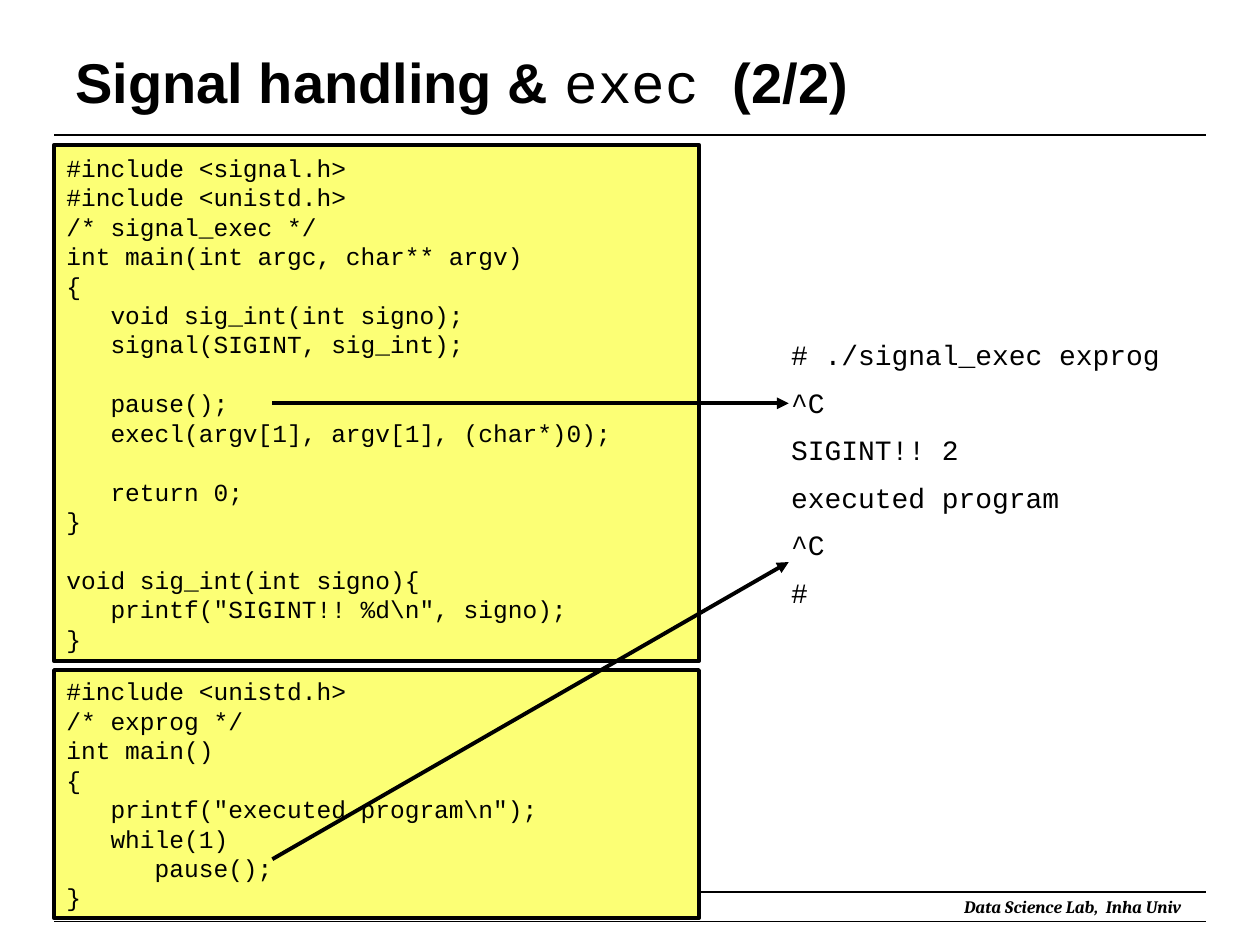
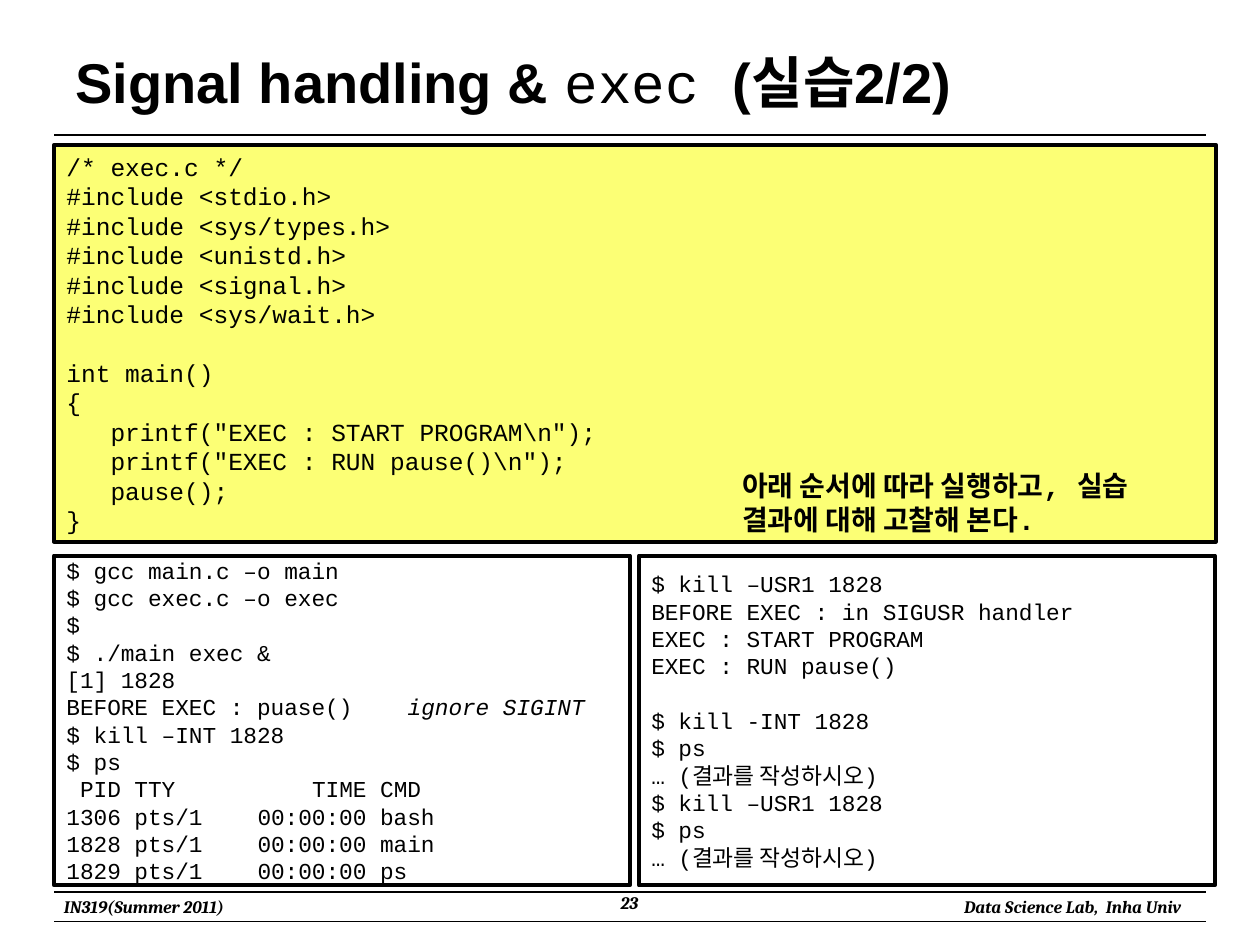
from dataclasses import dataclass
from typing import Optional

from lxml import etree
from pptx import Presentation
from pptx.dml.color import RGBColor
from pptx.enum.shapes import MSO_CONNECTOR, MSO_SHAPE
from pptx.enum.text import MSO_ANCHOR as Anchor, PP_ALIGN as Align
from pptx.oxml.ns import qn
from pptx.util import Cm, Pt

COLORS = {"ink": "000000", "code": "FCFF75"}
HEADING, MONO, FOOTER = "Arial", "Courier New", "Cambria"
LINE_HEIGHT = 1.2
MONO_WIDTH = 0.6
LEFT, RIGHT = 1.09, 24.31
CODE_TOP = 2.92


@dataclass(frozen=True)
class Area:
    left: float
    top: float
    width: float
    height: float

    def lengths(self):
        return Cm(self.left), Cm(self.top), Cm(self.width), Cm(self.height)


@dataclass(frozen=True)
class Style:
    size: float
    font: str = MONO
    bold: bool = False
    italic: bool = False


@dataclass(frozen=True)
class Line:
    """A line of text, with an optional second part set at a character column."""
    text: str
    second: str = ""
    column: int = 0
    italic_second: bool = False


@dataclass(frozen=True)
class Listing:
    area: Area
    size: float
    lines: list
    fill: Optional[str] = None


@dataclass(frozen=True)
class Arrow:
    x1: float
    y1: float
    x2: float
    y2: float


TITLE_AREA = Area(1.27, 0.76, 22.86, 1.75)
TITLE_STYLE = Style(32, HEADING, bold=True)
TITLE_CODE_STYLE = Style(32)
FOOTER_STYLE = Style(10, FOOTER, bold=True, italic=True)
OUTPUT_STYLE = Style(16)
HINT_STYLE = Style(16, bold=True)

SIGNAL_EXEC = Listing(Area(LEFT, CODE_TOP, 13, 10.41), 14, r'''#include <signal.h>
#include <unistd.h>
/* signal_exec */
int main(int argc, char** argv)
{
   void sig_int(int signo);
   signal(SIGINT, sig_int);

   pause();
   execl(argv[1], argv[1], (char*)0);

   return 0;
}

void sig_int(int signo){
   printf("SIGINT!! %d\n", signo);
}'''.split("\n"), "code")

EXPROG = Listing(Area(LEFT, 13.51, 13, 5), 14, r'''#include <unistd.h>
/* exprog */
int main()
{
   printf("executed program\n");
   while(1)
      pause();
}'''.split("\n"), "code")

EXEC_C = Listing(Area(LEFT, CODE_TOP, 23.42, 8), 14, r'''/* exec.c */
#include <stdio.h>
#include <sys/types.h>
#include <unistd.h>
#include <signal.h>
#include <sys/wait.h>

int main()
{
   printf("EXEC : START PROGRAM\n");
   printf("EXEC : RUN pause()\n");
   pause();
}'''.split("\n"), "code")

FIRST_SESSION = Listing(Area(LEFT, 11.2, 11.61, 6.65), 13, [
    "$ gcc main.c –o main",
    "$ gcc exec.c –o exec",
    "$",
    "$ ./main exec &",
    "[1] 1828",
    Line("BEFORE EXEC : puase()", "ignore SIGINT", 25, italic_second=True),
    "$ kill –INT 1828",
    "$ ps",
    Line(" PID TTY", "TIME CMD", 18),
    Line("1306 pts/1", "00:00:00 bash", 14),
    Line("1828 pts/1", "00:00:00 main", 14),
    Line("1829 pts/1", "00:00:00 ps", 14),
])

SECOND_SESSION = Listing(Area(12.88, 11.2, 11.61, 6.65), 13, [
    "$ kill –USR1 1828",
    "BEFORE EXEC : in SIGUSR handler",
    "EXEC : START PROGRAM",
    "EXEC : RUN pause()",
    "",
    "$ kill -INT 1828",
    "$ ps",
    "… (결과를 작성하시오)",
    "$ kill –USR1 1828",
    "$ ps",
    "… (결과를 작성하시오)",
])

OUTPUT = ["# ./signal_exec exprog", "^C", "SIGINT!! 2", "executed program", "^C", "#"]
PAUSE_ARROWS = [Arrow(5.49, 8.13, 15.9, 8.13), Arrow(5.49, 17.32, 15.9, 11.33)]


def ink(name: str) -> RGBColor:
    return RGBColor.from_string(COLORS[name])


def add_run(paragraph, text: str, style: Style) -> None:
    run = paragraph.add_run()
    run.text = text
    font = run.font
    font.name, font.size = style.font, Pt(style.size)
    font.bold, font.italic = style.bold, style.italic
    font.color.rgb = ink("ink")


def set_tab(paragraph, position) -> None:
    tabs = etree.SubElement(paragraph._p.get_or_add_pPr(), qn("a:tabLst"))
    etree.SubElement(tabs, qn("a:tab"), pos=str(int(position)), algn="l")


def add_line(paragraph, line: Line, style: Style) -> None:
    if line.second:
        set_tab(paragraph, Pt(line.column * MONO_WIDTH * style.size))
        add_run(paragraph, line.text + "\t", style)
        second_style = Style(style.size, style.font, italic=line.italic_second)
        add_run(paragraph, line.second, second_style)
    else:
        add_run(paragraph, line.text, style)


def fill_lines(frame, lines: list, style: Style, gap: float = 0) -> None:
    """Write one paragraph a line; an empty line becomes space before the next."""
    space, first = 0.0, True
    for entry in lines:
        if entry == "":
            space += style.size * LINE_HEIGHT
            continue
        paragraph = frame.paragraphs[0] if first else frame.add_paragraph()
        line = entry if isinstance(entry, Line) else Line(entry)
        paragraph.alignment = Align.LEFT
        paragraph.space_before = Pt(0 if first else space + gap)
        add_line(paragraph, line, style)
        space, first = 0.0, False


def add_text(slide, area: Area, lines: list, style: Style,
             align=Align.LEFT, gap: float = 0) -> None:
    frame = slide.shapes.add_textbox(*area.lengths()).text_frame
    frame.word_wrap = True
    fill_lines(frame, lines, style, gap)
    for paragraph in frame.paragraphs:
        paragraph.alignment = align


def add_listing(slide, listing: Listing) -> None:
    box = slide.shapes.add_shape(MSO_SHAPE.RECTANGLE, *listing.area.lengths())
    box.shadow.inherit = False
    if listing.fill:
        box.fill.solid()
        box.fill.fore_color.rgb = ink(listing.fill)
    else:
        box.fill.background()
    box.line.color.rgb, box.line.width = ink("ink"), Pt(2.25)
    frame = box.text_frame
    frame.word_wrap, frame.vertical_anchor = True, Anchor.MIDDLE
    fill_lines(frame, listing.lines, Style(listing.size))


def add_stroke(slide, ends: Arrow, width: float, arrowhead: bool = False) -> None:
    stroke = slide.shapes.add_connector(
        MSO_CONNECTOR.STRAIGHT, Cm(ends.x1), Cm(ends.y1), Cm(ends.x2), Cm(ends.y2))
    stroke.line.color.rgb, stroke.line.width = ink("ink"), Pt(width)
    if arrowhead:
        etree.SubElement(stroke.line._get_or_add_ln(), qn("a:tailEnd"), type="triangle")
    etree.SubElement(stroke._element.spPr, qn("a:effectLst"))


def add_base_slide(deck, title_end: str, course: str = "", page: str = ""):
    """Add a slide with its title, rules and footer."""
    slide = deck.slides.add_slide(deck.slide_layouts[5])
    for y in (2.72, 17.98, 18.57):
        add_stroke(slide, Arrow(LEFT, y, RIGHT, y), 0.75)

    if course:
        add_text(slide, Area(1.04, 17.93, 4.39, 0.69), [course], FOOTER_STYLE)
    if page:
        add_text(slide, Area(9.73, 17.86, 5.92, 0.79), [page], FOOTER_STYLE, Align.CENTER)
    add_text(slide, Area(18.19, 17.93, 5.87, 0.69), ["Data Science Lab,  Inha Univ"],
             FOOTER_STYLE, Align.RIGHT)

    title = slide.shapes.title
    title.left, title.top, title.width, title.height = TITLE_AREA.lengths()
    title.text_frame.vertical_anchor = Anchor.MIDDLE
    heading = title.text_frame.paragraphs[0]
    heading.alignment = Align.LEFT
    add_run(heading, "Signal handling & ", TITLE_STYLE)
    add_run(heading, "exec ", TITLE_CODE_STYLE)
    add_run(heading, title_end, TITLE_STYLE)
    return slide


def build_signal_slide(deck) -> None:
    slide = add_base_slide(deck, "(2/2)")
    for listing in (SIGNAL_EXEC, EXPROG):
        add_listing(slide, listing)
    add_text(slide, Area(15.7, 6.68, 8.41, 6.02), OUTPUT, OUTPUT_STYLE, gap=8)
    for arrow in PAUSE_ARROWS:
        add_stroke(slide, arrow, 2.25, arrowhead=True)


def build_practice_slide(deck) -> None:
    slide = add_base_slide(deck, "(실습2/2)", "IN319(Summer 2011)", "23")
    for listing in (EXEC_C, FIRST_SESSION, SECOND_SESSION):
        add_listing(slide, listing)
    add_text(slide, Area(14.71, 9.32, 9.02, 1.63),
             ["아래 순서에 따라 실행하고, 실습 결과에 대해 고찰해 본다."], HINT_STYLE)


def main() -> None:
    deck = Presentation()
    deck.slide_width, deck.slide_height = Cm(25.4), Cm(19.05)
    build_signal_slide(deck)
    build_practice_slide(deck)
    deck.save("out.pptx")


if __name__ == "__main__":
    main()
